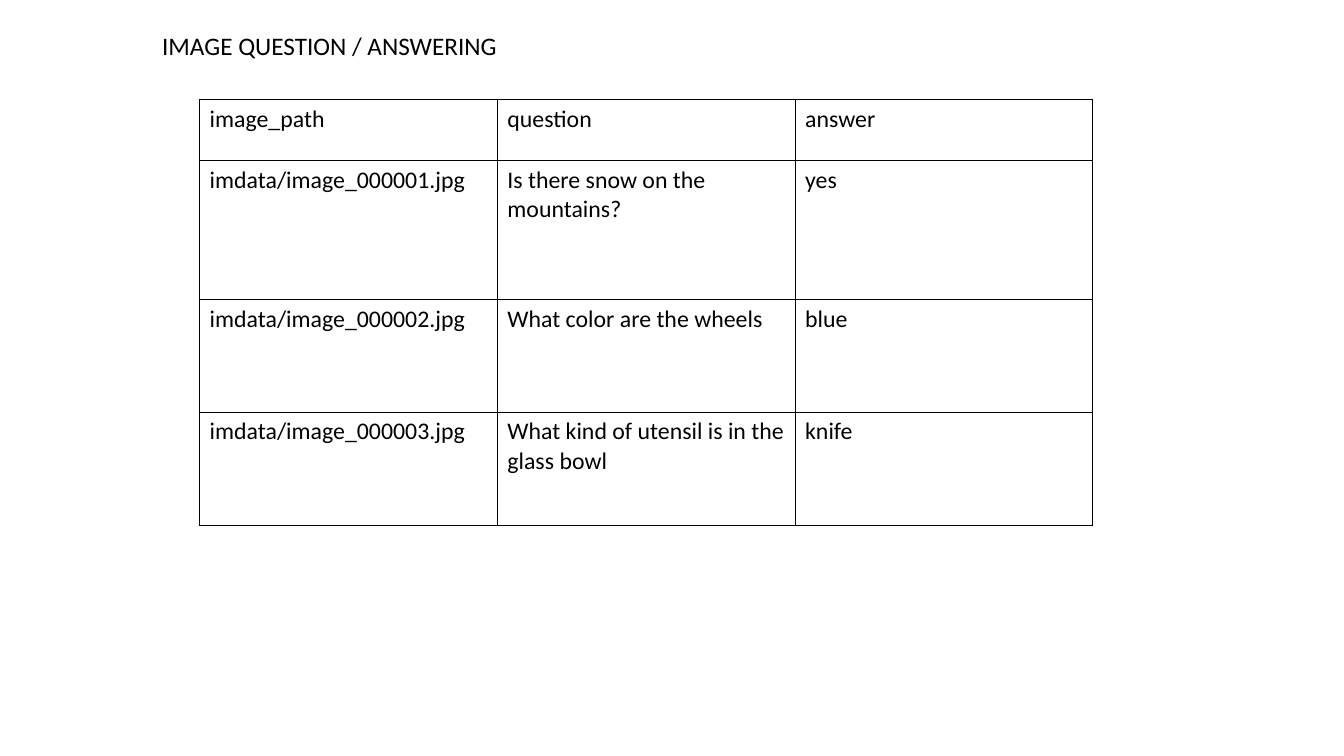
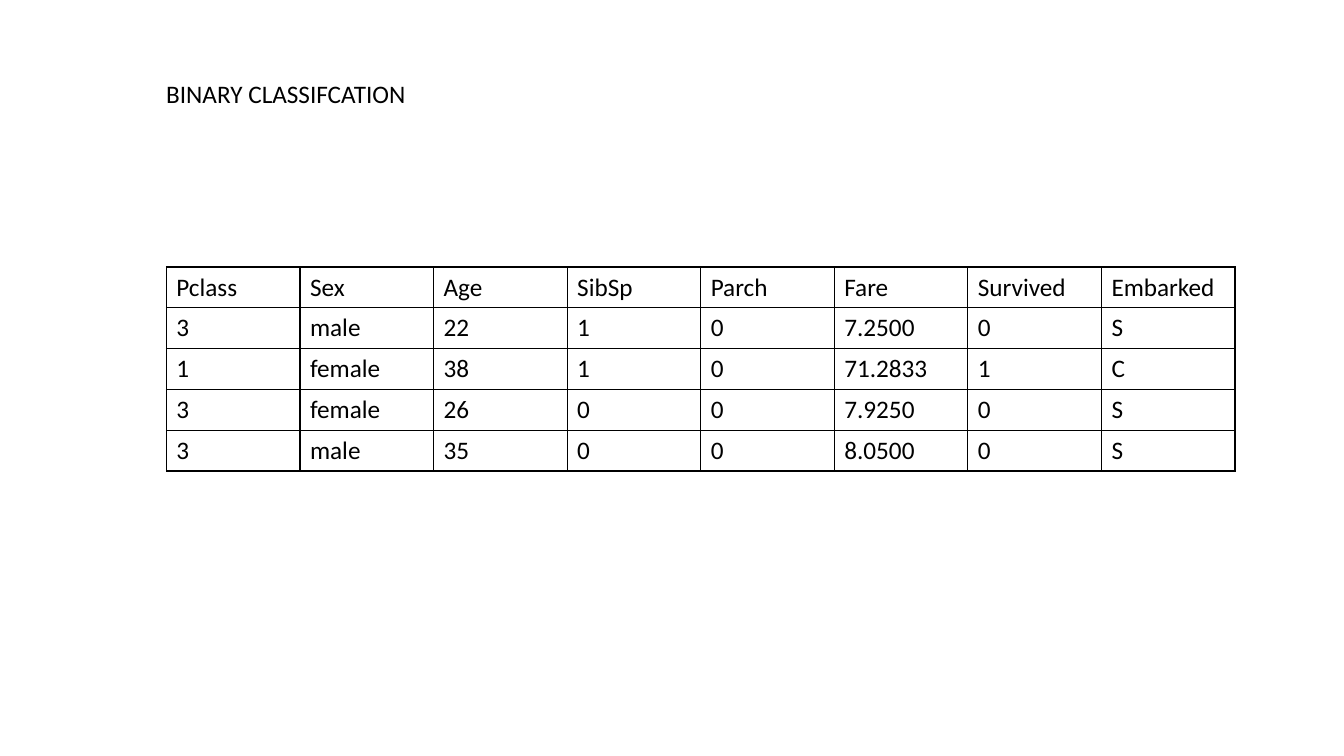
from lxml.etree import SubElement
from pptx import Presentation
from pptx.dml.color import RGBColor
from pptx.enum.text import MSO_AUTO_SIZE as AutoSize
from pptx.oxml.ns import qn
from pptx.util import Inches, Pt

INK = "000000"
PAPER = "FFFFFF"
BORDER_WIDTH = Pt(1)
TITLE_SIZE = 18
TITLE_HEIGHT = 5.33

# Boxes are left, top, width and row heights are in percent of the slide.
SLIDES = [
    {
        "title": "IMAGE QUESTION / ANSWERING",
        "title_box": (11.33, 3.33, 70.44),
        "table_box": (14.85, 13.2, 66.47),
        "row_heights": [8, 18.4, 14.93, 14.93],
        "text_size": 17,
        "rows": [
            ["image_path", "question", "answer"],
            ["imdata/image_000001.jpg", "Is there snow on the mountains?", "yes"],
            ["imdata/image_000002.jpg", "What color are the wheels", "blue"],
            ["imdata/image_000003.jpg", "What kind of utensil is in the glass bowl", "knife"],
        ],
    },
    {
        "title": "BINARY CLASSIFCATION",
        "title_box": (11.63, 9.73, 75.77),
        "table_box": (12.38, 35.33, 79.52),
        "row_heights": [5.4] * 5,
        "text_size": 18,
        "rows": [
            ["Pclass", "Sex", "Age", "SibSp", "Parch", "Fare", "Survived", "Embarked"],
            ["3", "male", "22", "1", "0", "7.2500", "0", "S"],
            ["1", "female", "38", "1", "0", "71.2833", "1", "C"],
            ["3", "female", "26", "0", "0", "7.9250", "0", "S"],
            ["3", "male", "35", "0", "0", "8.0500", "0", "S"],
        ],
    },
]


def write_text(text_frame, text, size):
    text_frame.text = text
    font = text_frame.paragraphs[0].runs[0].font
    for name, value in {"name": "Calibri", "size": Pt(size)}.items():
        setattr(font, name, value)
    font.color.rgb = RGBColor.from_string(INK)


def draw_borders(cell):
    """Line all four sides; call before filling, as the schema puts lines first."""
    properties = cell._tc.get_or_add_tcPr()
    for side in ("lnL", "lnR", "lnT", "lnB"):
        line = SubElement(properties, qn(f"a:{side}"), w=str(BORDER_WIDTH))
        fill = SubElement(line, qn("a:solidFill"))
        SubElement(fill, qn("a:srgbClr"), val=INK)


presentation = Presentation()
presentation.slide_width = Inches(13.33)
presentation.slide_height = Inches(7.5)
across = presentation.slide_width / 100
down = presentation.slide_height / 100
blank_layout = presentation.slide_layouts[6]

for content in SLIDES:
    slide = presentation.slides.add_slide(blank_layout)

    rows, row_heights = content["rows"], content["row_heights"]
    left, top, width = content["table_box"]
    table = slide.shapes.add_table(
        len(rows), len(rows[0]), int(left * across), int(top * down),
        int(width * across), int(sum(row_heights) * down),
    ).table
    table.first_row = table.horz_banding = False
    for row, height, texts in zip(table.rows, row_heights, rows):
        row.height = int(height * down)
        for cell, text in zip(row.cells, texts):
            write_text(cell.text_frame, text, content["text_size"])
            draw_borders(cell)
            cell.fill.solid()
            cell.fill.fore_color.rgb = RGBColor.from_string(PAPER)

    left, top, width = content["title_box"]
    title = slide.shapes.add_textbox(
        int(left * across), int(top * down), int(width * across), int(TITLE_HEIGHT * down)
    )
    title.text_frame.word_wrap = True
    title.text_frame.auto_size = AutoSize.SHAPE_TO_FIT_TEXT
    write_text(title.text_frame, content["title"], TITLE_SIZE)

presentation.save("out.pptx")
